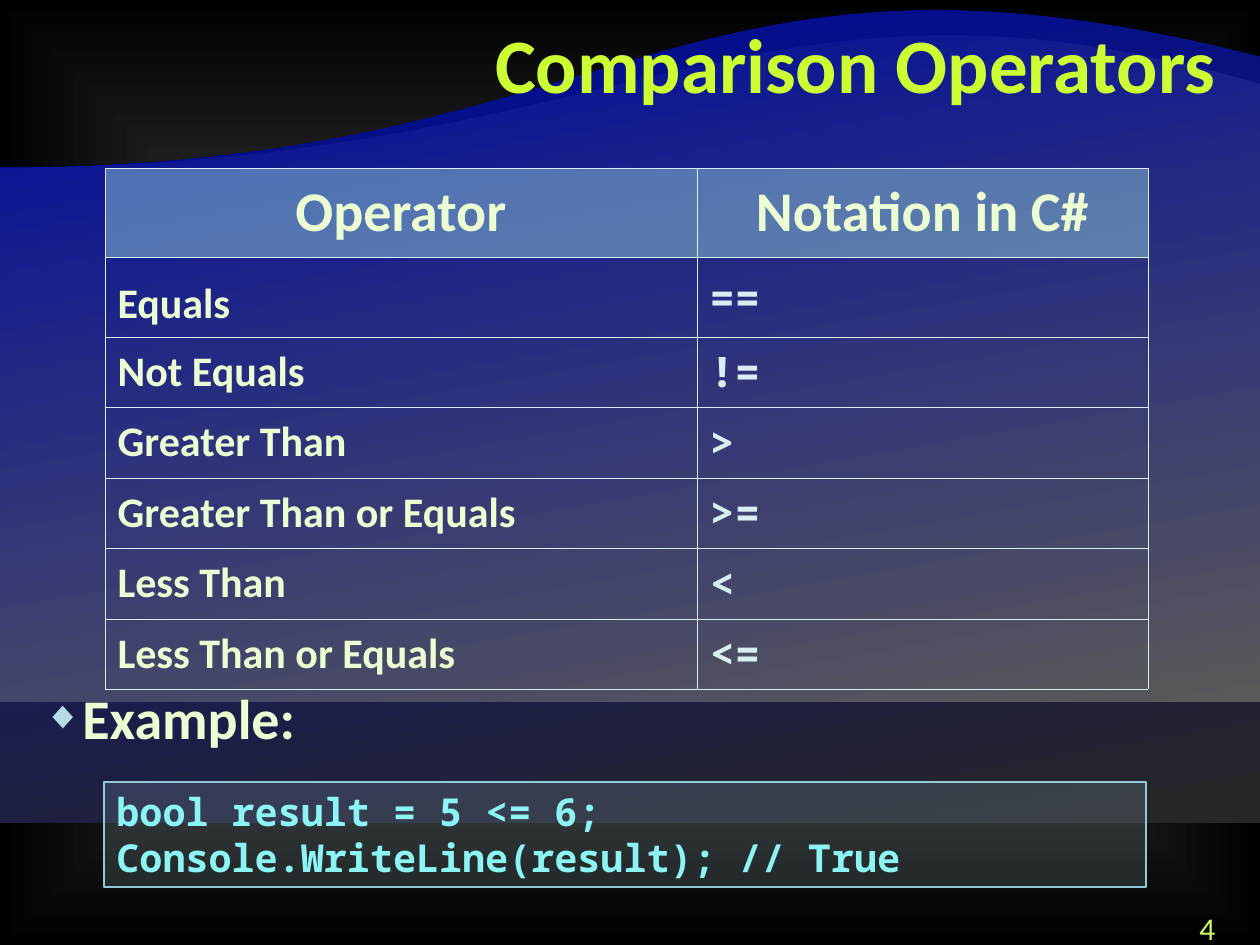
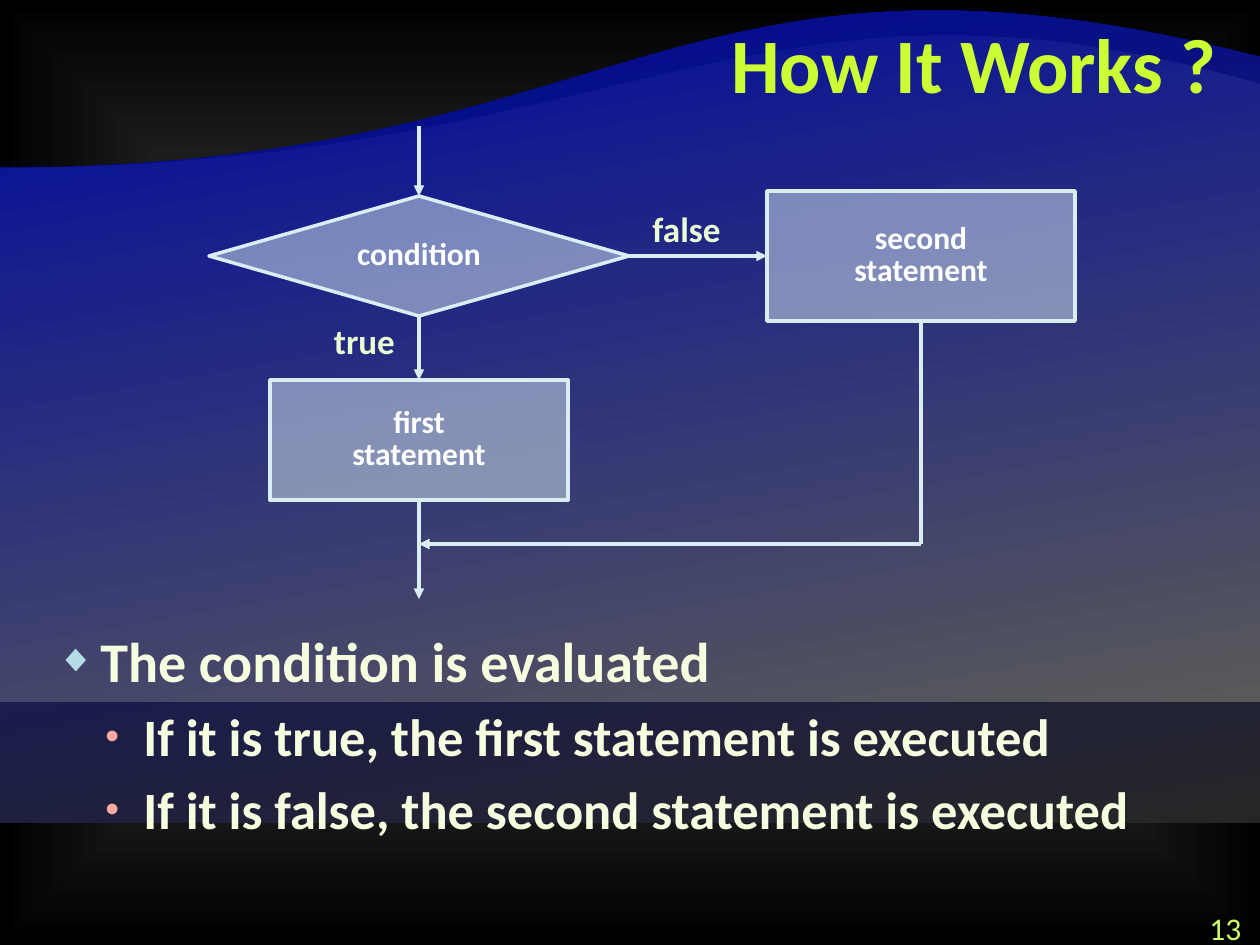
from lxml import etree
from pptx import Presentation
from pptx.dml.color import RGBColor
from pptx.enum.shapes import MSO_CONNECTOR, MSO_SHAPE
from pptx.enum.text import MSO_ANCHOR, PP_ALIGN
from pptx.oxml.ns import qn
from pptx.util import Pt

PX = 914400 / 126
SLIDE_W, SLIDE_H = 1260, 945
BODY_FONT, CODE_FONT = "Calibri", "Noto Sans Mono"
LEFT, CENTER, RIGHT = PP_ALIGN.LEFT, PP_ALIGN.CENTER, PP_ALIGN.RIGHT
MIDDLE = MSO_ANCHOR.MIDDLE
RECT, DECISION = MSO_SHAPE.RECTANGLE, MSO_SHAPE.FLOWCHART_DECISION
STRAIGHT = MSO_CONNECTOR.STRAIGHT
TOP_SIDE, LEFT_SIDE, BOTTOM_SIDE, RIGHT_SIDE = range(4)
COLORS = {
    "title": "CCFF33", "number": "CCFF66", "text": "EBFFD2", "body": "F5FFE0",
    "line": "DAEDF2", "header": "90CAD7", "diamond": "B5DBE5", "dot": "FFA9A0",
    "code": "8CF4F2", "white": "FFFFFF", "blue": "000A9E", "grey": "595959",
    "dark": "262626", "black": "000000",
}
# Each wave: bottom edge, the four control points of its crest, lower colour.
WAVES = [
    (823, [(0, 168), (630, 168), (673, -93), (1260, 57)], "dark"),
    (702, [(0, 168), (630, 168), (753, -62), (1260, 84)], "grey"),
]
OPERATORS = [
    ("Equals", "=="), ("Not Equals", "!="), ("Greater Than", ">"),
    ("Greater Than or Equals", ">="), ("Less Than", "<"),
    ("Less Than or Equals", "<="),
]


def px(value):
    return round(value * PX)


def rgb(name):
    return RGBColor.from_string(COLORS[name])


def add_element(parent, tag, **attributes):
    return etree.SubElement(parent, qn(tag), attributes)


def set_alpha(properties, percent):
    color = properties.find(f"{qn('a:solidFill')}/{qn('a:srgbClr')}")
    add_element(color, "a:alpha", val=str(percent * 1000))


def set_gradient(fill, start, end):
    fill.gradient()
    for stop, name in zip(fill.gradient_stops, (start, end)):
        stop.color.rgb = rgb(name)


def set_background(master):
    """Dark glow that fades from the centre to the edges."""
    set_gradient(master.background.fill, "grey", "black")
    gradient = master._element.find(f".//{qn('a:gradFill')}")
    gradient.remove(gradient.find(qn("a:lin")))
    glow = add_element(gradient, "a:path", path="rect")
    add_element(glow, "a:fillToRect", l="50000", t="50000", r="50000", b="50000")


def write(paragraph, text, size, color, font=BODY_FONT, bold=True,
          align=LEFT, spacing=None):
    paragraph.alignment = align
    if spacing:
        paragraph.line_spacing = spacing
    run = paragraph.add_run()
    run.text = text
    run.font.size = Pt(size)
    run.font.name = font
    run.font.bold = bold
    run.font.color.rgb = rgb(color)


def write_lines(frame, lines, *style, **options):
    for index, line in enumerate(lines):
        paragraph = frame.add_paragraph() if index else frame.paragraphs[0]
        write(paragraph, line, *style, **options)


def add_text_box(slide, box):
    frame = slide.shapes.add_textbox(*map(px, box)).text_frame
    frame.word_wrap = True
    return frame


def add_bullet(paragraph, char, color, percent, left, hanging):
    properties = paragraph._p.get_or_add_pPr()
    properties.set("marL", str(px(left)))
    properties.set("indent", str(-px(hanging)))
    bullet_color = add_element(properties, "a:buClr")
    add_element(bullet_color, "a:srgbClr", val=COLORS[color])
    add_element(properties, "a:buSzPct", val=str(percent * 1000))
    add_element(properties, "a:buFont", typeface="Arial")
    add_element(properties, "a:buChar", char=char)


def add_panel(slide, kind, box, fill, alpha, line, width):
    """Translucent outlined shape."""
    panel = slide.shapes.add_shape(kind, *map(px, box))
    panel.shadow.inherit = False
    panel.fill.solid()
    panel.fill.fore_color.rgb = rgb(fill)
    set_alpha(panel._element.spPr, alpha)
    panel.line.color.rgb = rgb(line)
    panel.line.width = Pt(width)
    panel.text_frame.word_wrap = True
    return panel


def crest_points(controls, steps=60):
    """Points along a cubic curve."""
    for step in range(1, steps + 1):
        t = step / steps
        weights = ((1 - t) ** 3, 3 * t * (1 - t) ** 2, 3 * t * t * (1 - t), t ** 3)
        yield tuple(px(sum(w * point[axis] for w, point in zip(weights, controls)))
                    for axis in (0, 1))


def add_wave(slide, bottom, controls, lower_color):
    builder = slide.shapes.build_freeform(0, px(bottom))
    builder.add_line_segments([
        (0, px(controls[0][1])), *crest_points(controls), (px(SLIDE_W), px(bottom)),
    ])
    wave = builder.convert_to_shape()
    wave.shadow.inherit = False
    set_gradient(wave.fill, "blue", lower_color)
    wave.fill.gradient_angle = 280
    wave.line.fill.background()


def add_base_slide(prs, title, number, number_left):
    slide = prs.slides.add_slide(prs.slide_layouts[6])
    for wave in WAVES:
        add_wave(slide, *wave)
    write_lines(add_text_box(slide, (252, 10, 977, 126)), [title], 44, "title",
                align=RIGHT)
    write_lines(add_text_box(slide, (number_left, 903, 63, 32)), [number], 18,
                "number", bold=False)
    return slide


def format_cell(cell, header):
    cell.vertical_anchor = MIDDLE
    if header:
        cell.fill.solid()
        cell.fill.fore_color.rgb = rgb("header")
        set_alpha(cell._tc.tcPr, 50)
    else:
        cell.fill.background()
    for index, side in enumerate(("a:lnL", "a:lnR", "a:lnT", "a:lnB")):
        border = etree.Element(qn(side), w=str(Pt(0.5)))
        solid = add_element(border, "a:solidFill")
        add_element(solid, "a:srgbClr", val=COLORS["line"])
        cell._tc.tcPr.insert(index, border)


def add_operator_table(slide, left, top):
    widths = [592, 451]
    heights = [89, 80, 70, 71, 70, 71, 70]
    table = slide.shapes.add_table(
        len(heights), len(widths), px(left), px(top),
        px(sum(widths)), px(sum(heights))).table
    table.first_row = table.horz_banding = False
    for column, width in zip(table.columns, widths):
        column.width = px(width)
    for row, height in zip(table.rows, heights):
        row.height = px(height)

    for cell, heading in zip(table.rows[0].cells, ("Operator", "Notation in C#")):
        format_cell(cell, header=True)
        write_lines(cell.text_frame, [heading], 32, "text", align=CENTER, spacing=0.93)
    for index, (name, notation) in enumerate(OPERATORS, start=1):
        name_cell, notation_cell = table.rows[index].cells
        format_cell(name_cell, header=False)
        format_cell(notation_cell, header=False)
        write_lines(name_cell.text_frame, [name], 24, "text",
                    spacing=Pt(38) if index == 1 else 0.93)
        write_lines(notation_cell.text_frame, [notation], 24, "line",
                    font=CODE_FONT, spacing=0.93)
    table.cell(1, 0).text_frame.paragraphs[0].space_after = Pt(6)


def add_example(slide, left, top):
    heading = add_text_box(slide, (left, top, 1197, 94)).paragraphs[0]
    add_bullet(heading, "◆", "diamond", 70, 39, 39)
    write(heading, "Example:", 32, "text", spacing=Pt(38))
    code = add_panel(slide, RECT, (left + 73, top + 104, 1042, 105),
                     "diamond", 15, "header", 1)
    code.text_frame.vertical_anchor = MSO_ANCHOR.TOP
    write_lines(code.text_frame,
                ["bool result = 5 <= 6;", "Console.WriteLine(result); // True"],
                22, "code", font=CODE_FONT)


def add_flow_line(slide, start, end, source=None, target=None, arrow=True):
    """Line from start to end; source and target are (shape, side) joints."""
    line = slide.shapes.add_connector(STRAIGHT, *map(px, (*start, *end)))
    if source:
        line.begin_connect(*source)
    if target:
        line.end_connect(*target)
    line.line.color.rgb = rgb("line")
    line.line.width = Pt(2)
    if arrow:
        add_element(line.line._get_or_add_ln(), "a:tailEnd", type="triangle")
    add_element(line._element.spPr, "a:effectLst")


def add_flowchart(slide, left, top):
    def step(kind, x, y, width, height, lines):
        panel = add_panel(slide, kind, (left + x, top + y, width, height),
                          "line", 50, "line", 2)
        panel.text_frame.vertical_anchor = MIDDLE
        write_lines(panel.text_frame, lines, 18, "white", align=CENTER, spacing=0.85)
        return panel

    def label(x, y, width, height, text):
        frame = add_text_box(slide, (left + x, top + y, width, height))
        write_lines(frame, [text], 20, "text", align=CENTER, spacing=0.85)

    condition = step(DECISION, 0, 70, 420, 120, ["condition"])
    first = step(RECT, 61, 254, 298, 120, ["first", "statement"])
    second = step(RECT, 558, 65, 308, 130, ["second", "statement"])
    main_x, second_x = left + 210, left + 712
    middle_y, merge_y = top + 130, top + 418

    add_flow_line(slide, (main_x, top), (main_x, top + 70),
                  target=(condition, TOP_SIDE))
    add_flow_line(slide, (main_x, top + 190), (main_x, top + 254),
                  (condition, BOTTOM_SIDE), (first, TOP_SIDE))
    add_flow_line(slide, (left + 420, middle_y), (left + 558, middle_y),
                  (condition, RIGHT_SIDE), (second, LEFT_SIDE))
    add_flow_line(slide, (main_x, top + 374), (main_x, top + 473),
                  (first, BOTTOM_SIDE))
    add_flow_line(slide, (second_x, top + 195), (second_x, merge_y),
                  (second, BOTTOM_SIDE), arrow=False)
    add_flow_line(slide, (second_x, merge_y), (main_x, merge_y))
    label(91, 194, 129, 48, "true")
    label(425, 82, 105, 84, "false")


def add_explanation(slide, left, top):
    frame = add_text_box(slide, (left, top, 1171, 290))
    summary = frame.paragraphs[0]
    add_bullet(summary, "◆", "diamond", 70, 44, 44)
    write(summary, "The condition is evaluated", 32, "body")
    for outcome, statement in (("true", "first"), ("false", "second")):
        case = frame.add_paragraph()
        case.level = 1
        case.space_before = Pt(6)
        add_bullet(case, "•", "dot", 75, 87, 38)
        write(case, f"If it is {outcome}, the {statement} statement is executed",
              30, "body")


def main():
    prs = Presentation()
    prs.slide_width, prs.slide_height = px(SLIDE_W), px(SLIDE_H)
    set_background(prs.slide_master)

    operators = add_base_slide(prs, "Comparison Operators", "4", 1187)
    add_operator_table(operators, 105, 168)
    add_example(operators, 31, 678)

    workings = add_base_slide(prs, "How It Works ?", "13", 1197)
    add_flowchart(workings, 209, 126)
    add_explanation(workings, 44, 620)
    prs.save("out.pptx")


if __name__ == "__main__":
    main()
